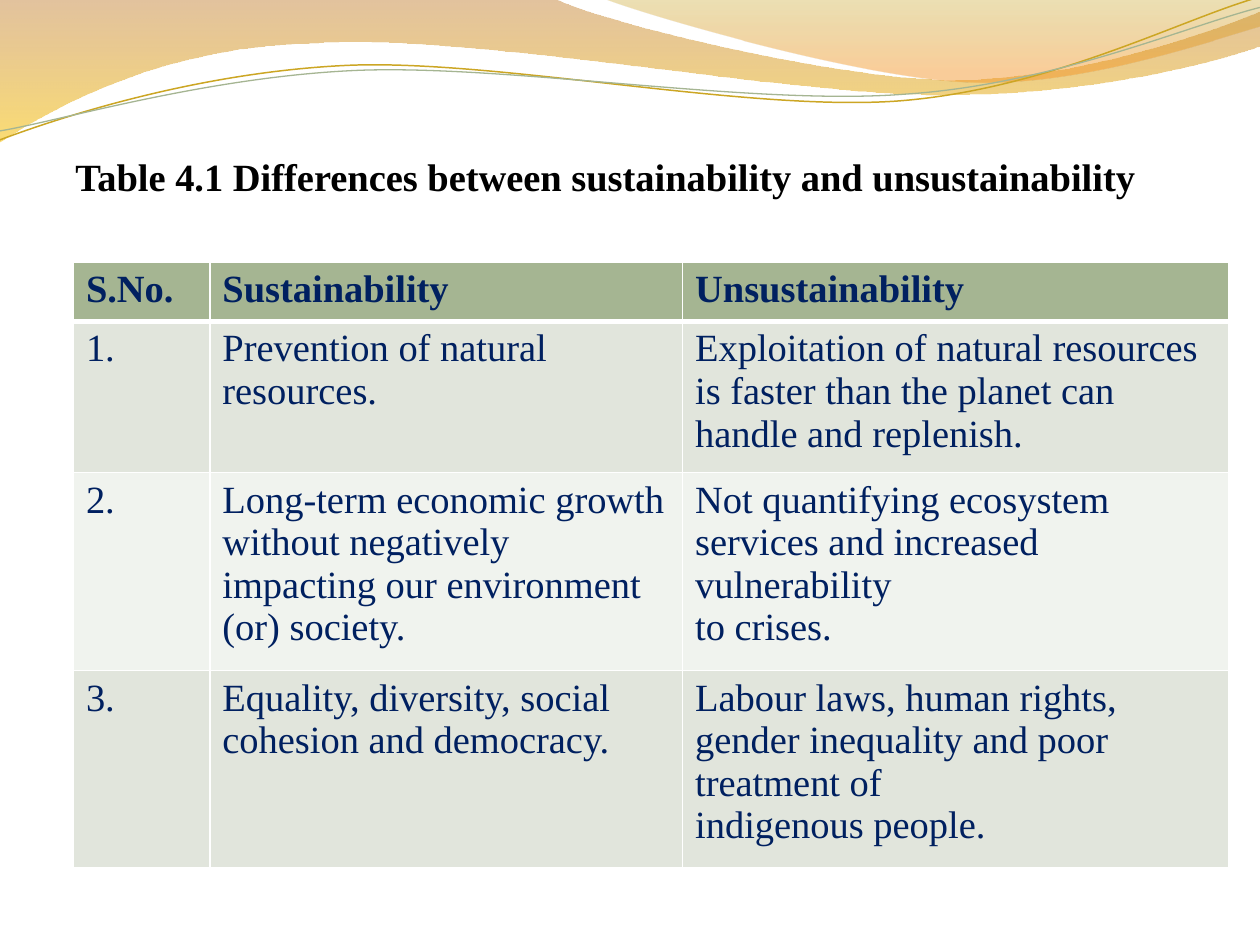
from lxml.etree import SubElement
from pptx import Presentation
from pptx.dml.color import RGBColor
from pptx.oxml.ns import qn
from pptx.util import Cm, Pt

FONT = "Times New Roman"
NAVY = "002060"
ROWS = [
    ["S.No.", "Sustainability", "Unsustainability"],
    ["1.", "Prevention of natural\nresources.",
     "Exploitation of natural resources is faster than the planet can handle and replenish."],
    ["2.", "Long-term economic growth without negatively impacting our environment (or) society.",
     "Not quantifying ecosystem services and increased vulnerability\nto crises."],
    ["3.", "Equality, diversity, social cohesion and democracy.",
     "Labour laws, human rights, gender inequality and poor treatment of\nindigenous people."],
]
ROW_FILLS = ["A5B592", "E1E5DC", "F0F3EE", "E1E5DC"]
COL_WIDTHS = [2.75, 9.53, 11.01]
ROW_HEIGHTS = [1.18, 3.05, 3.99, 3.98]

LEFT_WAVE = [
    (0, 0), (11.18, -0.03),
    (12.09, 0.43, 16.87, 1.6, 19.25, 1.6), (21.67, 1.6, 24.33, 0.66, 25.4, 0.23),
    (25.43, 0.91), (24.97, 1.12, 22.1, 1.93, 18.95, 1.91),
    (15.8, 1.91, 9.7, 0.71, 6.53, 0.86), (3.28, 0.91, 1.17, 2.11, -0.03, 2.87), (0, 0),
]
RIGHT_WAVE = [
    (12.17, -0.03), (12.93, 0.28, 17.32, 1.57, 19.53, 1.65),
    (21.74, 1.75, 24.41, 0.81, 25.4, 0.53), (25.4, 0), (12.17, -0.03),
]
GOLD_LINE = [
    (-0.05, 2.22), (1.19, 1.82, 4.02, 1.04, 7.05, 1.05),
    (10.05, 1.07, 15.02, 2.37, 18.08, 2.29), (21.13, 2.2, 23.86, 0.91, 25.41, 0.55),
]
GREEN_LINE = [
    (-0.04, 2.04), (1.16, 1.9, 4.17, 1.15, 7.2, 1.16),
    (10.25, 1.18, 15.13, 2.25, 18.19, 2.16), (21.21, 2.11, 23.93, 1.06, 25.45, 0.75),
]


def rgb(value):
    """Return the colour for a hex string."""
    return RGBColor.from_string(value)


def add_outline(s, path, close):
    """Draw a freeform whose six-number segments are cubic curves."""
    points = [(Cm(x), Cm(y)) for seg in path for x, y in zip(seg[::2], seg[1::2])]
    builder = s.shapes.build_freeform(*points[0])
    builder.add_line_segments(points[1:], close=close)
    sp = builder.convert_to_shape()
    sp.shadow.inherit = False
    nodes = iter(list(sp._element.iter(qn("a:lnTo"))))
    for seg in path[1:]:
        first = next(nodes)
        if len(seg) == 6:
            first.tag = qn("a:cubicBezTo")
            for _ in range(2):
                node = next(nodes)
                first.append(node[0])
                node.getparent().remove(node)
    return sp


def add_wave(s, path, stops):
    """Add a filled wave with a translucent downward gradient."""
    sp = add_outline(s, path, True)
    sp.line.fill.background()
    sp.fill.gradient()
    sp.fill.gradient_angle = 270
    for stop, (position, color, _) in zip(sp.fill.gradient_stops, stops):
        stop.position = position
        stop.color.rgb = rgb(color)
    for node, (_, _, alpha) in zip(sp._element.iter(qn("a:srgbClr")), stops):
        SubElement(node, qn("a:alpha"), val=str(alpha * 1000))


def add_curve(s, path, color, width):
    """Add an open curved line, slightly rotated."""
    sp = add_outline(s, path, False)
    sp.rotation = 357.3
    sp.fill.background()
    sp.line.color.rgb = rgb(color)
    sp.line.width = Pt(width)


def write(tf, text, color, bold):
    """Set the text of a frame and format its runs."""
    tf.text = text
    for p in tf.paragraphs:
        for r in p.runs:
            r.font.name = FONT
            r.font.size = Pt(22)
            r.font.bold = bold
            r.font.color.rgb = rgb(color)


def add_title(s, text):
    """Add the table caption."""
    tf = s.shapes.add_textbox(Cm(1.27), Cm(2.97), Cm(22.02), Cm(1.19)).text_frame
    tf.word_wrap = True
    write(tf, text, "000000", True)


def set_borders(cell, widths):
    """Give a cell white borders of the given widths."""
    tcPr = cell._tc.get_or_add_tcPr()
    for side, width in widths.items():
        ln = SubElement(tcPr, qn(f"a:ln{side}"), w=str(Pt(width)))
        SubElement(SubElement(ln, qn("a:solidFill")), qn("a:srgbClr"), val="FFFFFF")


def add_comparison(s):
    """Add the comparison table."""
    table = s.shapes.add_table(len(ROWS), len(COL_WIDTHS), Cm(1.48), Cm(5.29),
                               Cm(sum(COL_WIDTHS)), Cm(sum(ROW_HEIGHTS))).table
    for col, width in zip(table.columns, COL_WIDTHS):
        col.width = Cm(width)
    for i, (row, height) in enumerate(zip(table.rows, ROW_HEIGHTS)):
        row.height = Cm(height)
        for cell, text in zip(row.cells, ROWS[i]):
            set_borders(cell, {"L": 1, "R": 1, "T": 3 if i == 1 else 1, "B": 3 if i == 0 else 1})
            cell.fill.solid()
            cell.fill.fore_color.rgb = rgb(ROW_FILLS[i])
            write(cell.text_frame, text, NAVY, i == 0)


def main():
    """Build and save the slide."""
    prs = Presentation()
    prs.slide_width, prs.slide_height = Cm(25.4), Cm(19.05)
    s = prs.slides.add_slide(prs.slide_layouts[6])
    add_wave(s, LEFT_WAVE, [(0, "C07A28", 45), (1, "F7BF00", 55)])
    add_wave(s, RIGHT_WAVE, [(0, "C09709", 30), (0.8, "F59320", 45)])
    add_curve(s, GOLD_LINE, "CCA624", 0.85)
    add_curve(s, GREEN_LINE, "A5B592", 0.75)
    add_title(s, "Table 4.1 Differences between sustainability and unsustainability")
    add_comparison(s)
    prs.save("out.pptx")


if __name__ == "__main__":
    main()
